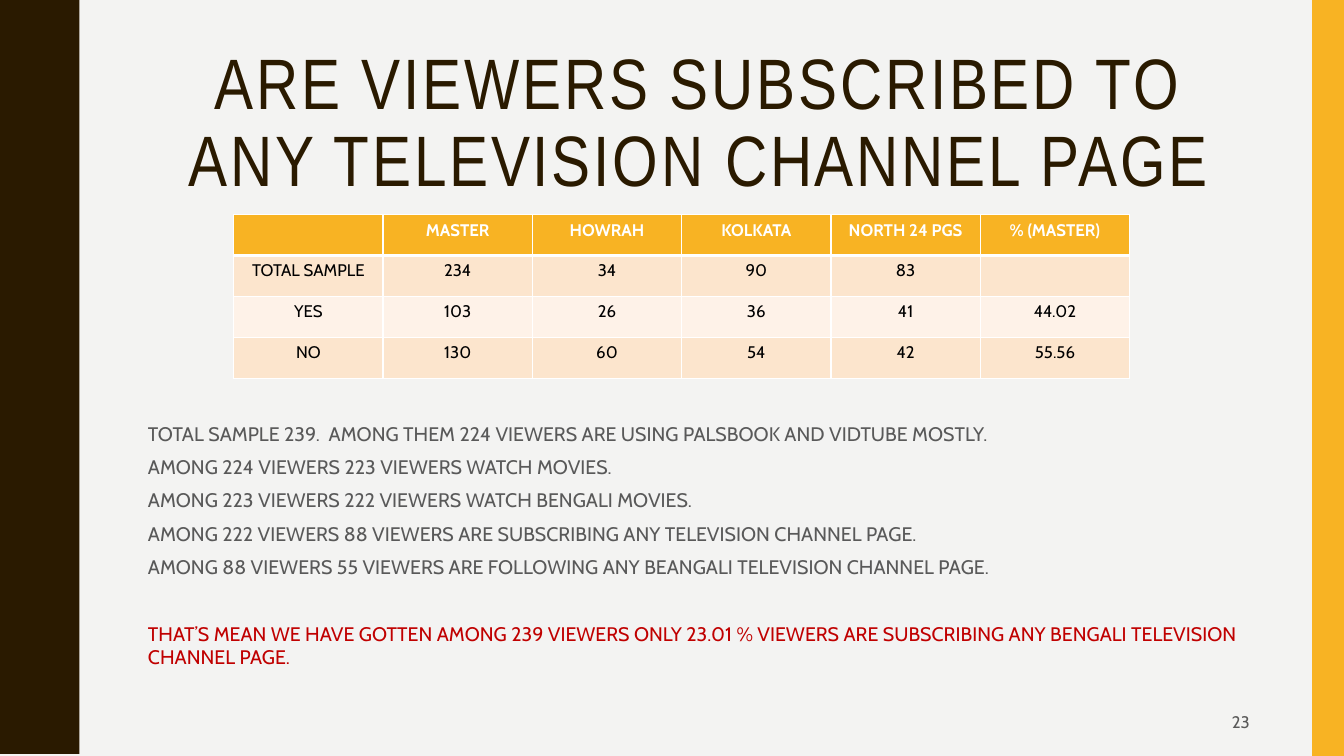
from dataclasses import dataclass

import pptx
import pptx.dml.color
import pptx.enum.shapes
import pptx.enum.text
import pptx.oxml
import pptx.oxml.ns
import pptx.util

Cm = pptx.util.Cm
Pt = pptx.util.Pt
Align = pptx.enum.text.PP_ALIGN
Anchor = pptx.enum.text.MSO_ANCHOR


@dataclass(frozen=True)
class Theme:
    background: str = "F3F3F2"
    dark: str = "2A1A00"
    accent: str = "F8B323"
    white: str = "FFFFFF"
    black: str = "000000"
    grey: str = "595959"
    red: str = "C00000"
    bands: tuple[str, str] = ("FCE5CD", "FEF2E8")
    title_font: str = "Arial Narrow"
    body_font: str = "Cabin"
    title_size: float = 51
    body_size: float = 14
    small_size: float = 12


@dataclass(frozen=True)
class Frame:
    """Left, top, width and height in centimetres."""
    left: float
    top: float
    width: float
    height: float

    def lengths(self) -> tuple:
        return Cm(self.left), Cm(self.top), Cm(self.width), Cm(self.height)


@dataclass(frozen=True)
class Finding:
    text: str
    color: str
    gap: float = 7


THEME = Theme()
PAGE = Frame(0, 0, 33.87, 19.05)
SIDE_BAR = Frame(33.07, 0, 0.8, 19.05)
TITLE = Frame(3.48, 1.07, 28.27, 4.14)
TABLE = Frame(5.89, 5.41, 22.58, 4.12)
FINDINGS_BOX = Frame(3.48, 10.62, 28.27, 6.53)
NUMBER_BOX = Frame(23.93, 17.7, 7.82, 0.97)

WAVE_PERIOD = 3.81
WAVE_COUNT = 5
WAVE_RISE = [(1.98, 0), (1.98, 0.18), (2.01, 0.36), (2.03, 0.51), (2.06, 0.64),
             (2.11, 0.74), (2.16, 0.84), (2.21, 0.97), (2.26, 1.07), (2.31, 1.17),
             (2.36, 1.27), (2.41, 1.4), (2.44, 1.55), (2.46, 1.73), (2.46, 1.9)]

ROWS = [
    ["", "MASTER", "HOWRAH", "KOLKATA", "NORTH 24 PGS", "% (MASTER)"],
    ["TOTAL SAMPLE", "234", "34", "90", "83", ""],
    ["YES", "103", "26", "36", "41", "44.02"],
    ["NO", "130", "60", "54", "42", "55.56"],
]

FINDINGS = [
    Finding("TOTAL SAMPLE 239.  AMONG THEM 224 VIEWERS ARE USING PALSBOOK AND VIDTUBE MOSTLY.",
            THEME.grey, 0),
    Finding("AMONG 224 VIEWERS 223 VIEWERS WATCH MOVIES.", THEME.grey),
    Finding("AMONG 223 VIEWERS 222 VIEWERS WATCH BENGALI MOVIES.", THEME.grey),
    Finding("AMONG 222 VIEWERS 88 VIEWERS ARE SUBSCRIBING ANY TELEVISION CHANNEL PAGE.",
            THEME.grey),
    Finding("AMONG 88 VIEWERS 55 VIEWERS ARE FOLLOWING ANY BEANGALI TELEVISION CHANNEL PAGE.",
            THEME.grey),
    Finding("THAT’S MEAN WE HAVE GOTTEN AMONG 239 VIEWERS ONLY 23.01 % VIEWERS ARE "
            "SUBSCRIBING ANY BENGALI TELEVISION CHANNEL PAGE.", THEME.red, 30.8),
]


def rgb(color: str):
    return pptx.dml.color.RGBColor.from_string(color)


def add_span(para, text: str, size: float, color: str,
             font: str = THEME.body_font, bold: bool = False):
    span = para.add_run()
    span.text = text
    span.font.name = font
    span.font.size = Pt(size)
    span.font.bold = bold
    span.font.color.rgb = rgb(color)
    return span


def paint(shape, color: str) -> None:
    shape.shadow.inherit = False
    shape.fill.solid()
    shape.fill.fore_color.rgb = rgb(color)
    shape.line.fill.background()


def add_wave(page) -> None:
    fall = [(x, WAVE_PERIOD - y) for x, y in reversed(WAVE_RISE)]
    edge = [(x, y + WAVE_PERIOD * index)
            for index in range(WAVE_COUNT) for x, y in WAVE_RISE + fall]
    builder = page.shapes.build_freeform(0, 0, scale=Cm(1))
    builder.add_line_segments(edge + [(0, PAGE.height)], close=True)
    paint(builder.convert_to_shape(), THEME.dark)


def add_side_bar(page) -> None:
    bar = page.shapes.add_shape(pptx.enum.shapes.MSO_SHAPE.RECTANGLE, *SIDE_BAR.lengths())
    paint(bar, THEME.accent)


def fill_title(page) -> None:
    title = page.shapes.title
    title.left, title.top, title.width, title.height = TITLE.lengths()
    frame = title.text_frame
    frame.auto_size = pptx.enum.text.MSO_AUTO_SIZE.NONE
    frame.vertical_anchor = Anchor.MIDDLE
    para = frame.paragraphs[0]
    para.alignment = Align.CENTER
    para.line_spacing = 0.9
    span = add_span(para, "ARE VIEWERS SUBSCRIBED TO ANY TELEVISION CHANNEL PAGE",
                    THEME.title_size, THEME.dark, THEME.title_font)
    span.font._element.set("spc", "200")


def set_borders(cell, widths: dict[str, float]) -> None:
    properties = cell._tc.get_or_add_tcPr()
    for side, width in widths.items():
        properties.append(pptx.oxml.parse_xml(
            f'<a:ln{side} {pptx.oxml.ns.nsdecls("a")} w="{Pt(width)}"><a:solidFill>'
            f'<a:srgbClr val="{THEME.white}"/></a:solidFill></a:ln{side}>'))


def add_survey_table(page) -> None:
    table = page.shapes.add_table(len(ROWS), len(ROWS[0]), *TABLE.lengths()).table
    table.horz_banding = False
    for row, texts in enumerate(ROWS):
        header = row == 0
        fill = THEME.accent if header else THEME.bands[(row - 1) % 2]
        borders = {"L": 1, "R": 1, "T": 3 if row == 1 else 1, "B": 3 if header else 1}
        for column, text in enumerate(texts):
            cell = table.cell(row, column)
            set_borders(cell, borders)
            cell.fill.solid()
            cell.fill.fore_color.rgb = rgb(fill)
            para = cell.text_frame.paragraphs[0]
            para.alignment = Align.CENTER
            if text:
                add_span(para, text, THEME.small_size,
                         THEME.white if header else THEME.black, bold=header)


def add_text_frame(page, place: Frame):
    frame = page.shapes.add_textbox(*place.lengths()).text_frame
    frame.word_wrap = True
    frame.margin_top = frame.margin_bottom = 0
    return frame


def add_findings(page) -> None:
    frame = add_text_frame(page, FINDINGS_BOX)
    for index, finding in enumerate(FINDINGS):
        para = frame.add_paragraph() if index else frame.paragraphs[0]
        para.space_before = Pt(finding.gap)
        add_span(para, finding.text, THEME.body_size, finding.color)


def add_page_number(page) -> None:
    frame = add_text_frame(page, NUMBER_BOX)
    frame.vertical_anchor = Anchor.MIDDLE
    para = frame.paragraphs[0]
    para.alignment = Align.RIGHT
    add_span(para, "23", THEME.small_size, THEME.grey)


def main() -> None:
    deck = pptx.Presentation()
    deck.slide_width, deck.slide_height = Cm(PAGE.width), Cm(PAGE.height)
    page = deck.slides.add_slide(deck.slide_layouts.get_by_name("Title Only"))
    page.background.fill.solid()
    page.background.fill.fore_color.rgb = rgb(THEME.background)
    add_wave(page)
    add_side_bar(page)
    fill_title(page)
    add_findings(page)
    add_page_number(page)
    add_survey_table(page)
    deck.save("out.pptx")


if __name__ == "__main__":
    main()
